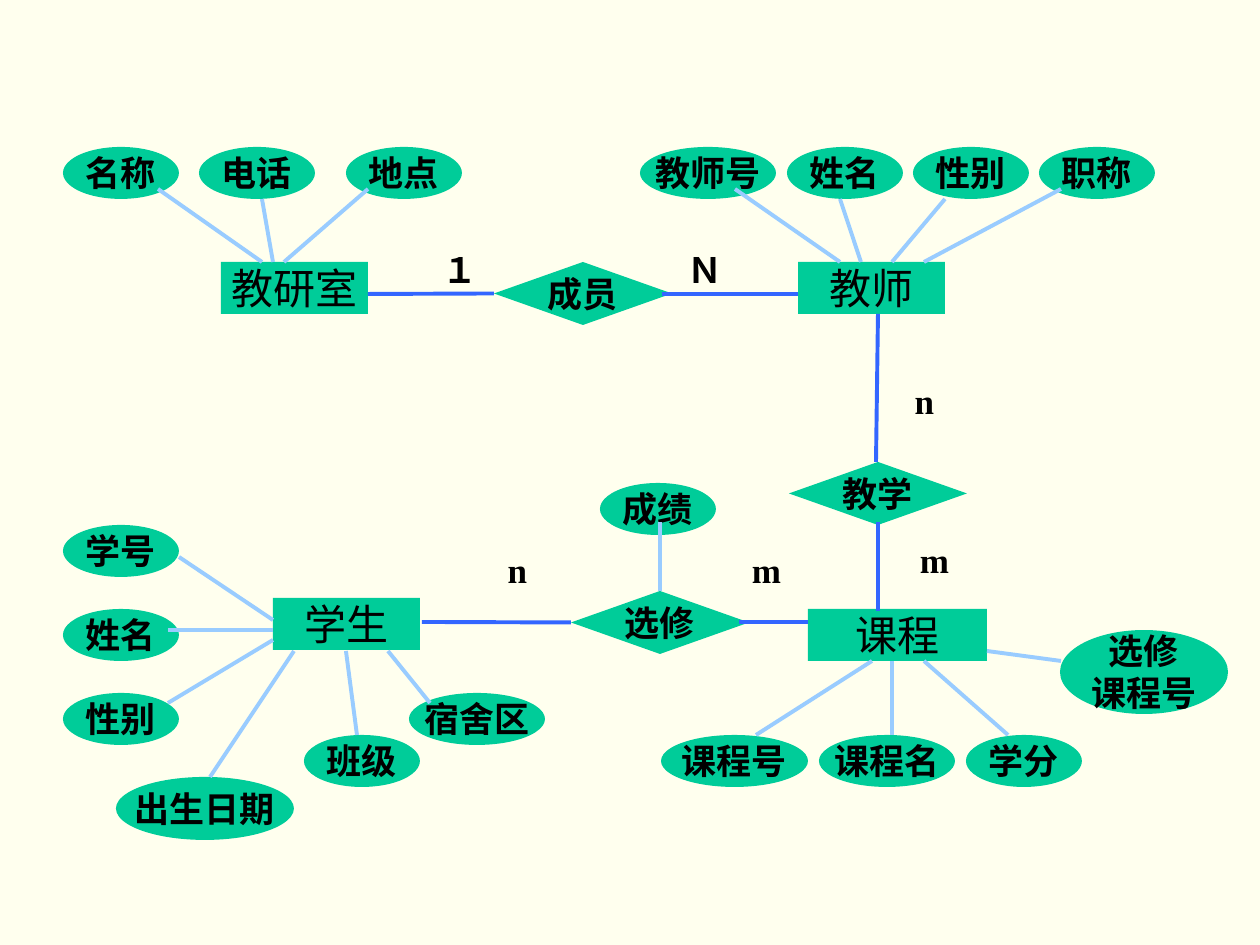
"""Build an entity-relationship diagram of departments, teachers, courses and students."""
from dataclasses import dataclass

from lxml import etree
from pptx import Presentation
from pptx import util as u
from pptx.dml.color import RGBColor
from pptx.enum import shapes, text
from pptx.oxml.ns import qn

PX = 914400 / 126


@dataclass(frozen=True)
class Theme:
    font: str = "Times New Roman"
    background: str = "FFFFEE"
    fill: str = "00CC99"
    ink: str = "000000"
    relation: str = "3366FF"
    attribute: str = "99CCFF"
    entity_size: int = 24
    label_size: int = 20
    line_width: float = 2.25


THEME = Theme()

ENTITIES = [
    ("教研室", 221, 262, 147, 52),
    ("教师", 798, 262, 147, 52),
    ("课程", 808, 609, 179, 52),
    ("学生", 273, 598, 147, 52),
]
RELATIONS = [
    ("成员", 494, 262, 178, 63),
    ("教学", 789, 462, 178, 63),
    ("选修", 571, 591, 178, 63),
]
ATTRIBUTES = [
    ("名称", 63, 147, 116, 52),
    ("电话", 199, 147, 116, 52),
    ("地点", 346, 147, 116, 52),
    ("教师号", 640, 147, 136, 52),
    ("姓名", 787, 147, 116, 52),
    ("性别", 913, 147, 116, 52),
    ("职称", 1039, 147, 116, 52),
    ("学号", 63, 525, 116, 52),
    ("姓名", 63, 609, 116, 52),
    ("性别", 63, 693, 116, 52),
    ("出生日期", 116, 777, 178, 63),
    ("班级", 304, 735, 116, 52),
    ("宿舍区", 409, 693, 136, 52),
    ("成绩", 600, 483, 116, 52),
    ("课程号", 661, 735, 147, 52),
    ("课程名", 819, 735, 136, 52),
    ("学分", 966, 735, 116, 52),
    ("选修\n课程号", 1060, 630, 168, 84),
]
RELATION_LINES = [
    (494, 294, 368, 294, "成员"),
    (798, 294, 662, 294, None),
    (878, 314, 876, 462, None),
    (571, 622, 422, 622, "选修"),
    (878, 611, 878, 522, None),
    (808, 622, 739, 622, None),
]
ATTRIBUTE_LINES = [
    (273, 620, 179, 557),
    (273, 630, 168, 630),
    (273, 640, 168, 703),
    (294, 651, 210, 777),
    (346, 651, 357, 735),
    (388, 651, 430, 703),
    (262, 262, 158, 189),
    (273, 262, 262, 199),
    (284, 262, 368, 189),
    (840, 262, 735, 189),
    (861, 262, 840, 199),
    (892, 262, 945, 199),
    (924, 262, 1061, 189),
    (660, 591, 660, 522),
    (892, 735, 892, 661),
    (756, 735, 872, 661),
    (1008, 735, 924, 661),
    (1061, 661, 987, 651),
]
CARDINALITIES = [
    ("n", 888, 373),
    ("m", 898, 532),
    ("n", 481, 542),
    ("m", 730, 542),
]
MEMBERSHIP = ("\t１\tＮ", 388, 242, 378, 63)
MEMBERSHIP_TABS = (42, 287)


def emu(*lengths):
    return [u.Emu(round(length * PX)) for length in lengths]


def style_text(frame, size, bold, align):
    for para in frame.paragraphs:
        para.alignment = align
        for span in para.runs:
            span.font.name = THEME.font
            span.font.size = u.Pt(size)
            span.font.bold = bold
            span.font.color.rgb = RGBColor.from_string(THEME.ink)


def add_node(page, kind, node, size, bold):
    label, *place = node
    shape = page.shapes.add_shape(kind, *emu(*place))
    shape.shadow.inherit = False
    shape.fill.solid()
    shape.fill.fore_color.rgb = RGBColor.from_string(THEME.fill)
    shape.line.fill.background()
    frame = shape.text_frame
    frame.word_wrap = False
    frame.vertical_anchor = text.MSO_ANCHOR.MIDDLE
    frame.text = label
    style_text(frame, size, bold, text.PP_ALIGN.CENTER)
    return shape


def add_line(page, ends, color):
    line = page.shapes.add_connector(shapes.MSO_CONNECTOR.STRAIGHT, *emu(*ends))
    line.line.color.rgb = RGBColor.from_string(color)
    line.line.width = u.Pt(THEME.line_width)
    etree.SubElement(line._element.spPr, qn("a:effectLst"))
    return line


def add_label(page, label, place, align, tabs=()):
    box = page.shapes.add_textbox(*emu(*place))
    frame = box.text_frame
    frame.word_wrap = True
    frame.text = label
    if tabs:
        properties = frame.paragraphs[0]._p.get_or_add_pPr()
        tab_list = etree.SubElement(properties, qn("a:tabLst"))
        for position in emu(*tabs):
            etree.SubElement(tab_list, qn("a:tab"), pos=str(position), algn="l")
    style_text(frame, THEME.label_size, True, align)


def main():
    deck = Presentation()
    deck.slide_width, deck.slide_height = emu(1260, 945)
    page = deck.slides.add_slide(deck.slide_layouts[6])
    page.background.fill.solid()
    page.background.fill.fore_color.rgb = RGBColor.from_string(THEME.background)

    kinds = shapes.MSO_SHAPE
    for node in ENTITIES:
        add_node(page, kinds.RECTANGLE, node, THEME.entity_size, False)
    for node in ATTRIBUTES:
        add_node(page, kinds.OVAL, node, THEME.label_size, True)
    diamonds = {
        node[0]: add_node(page, kinds.DIAMOND, node, THEME.label_size, True)
        for node in RELATIONS
    }

    for *ends, relation in RELATION_LINES:
        line = add_line(page, ends, THEME.relation)
        if relation:
            line.begin_connect(diamonds[relation], 1)
    for ends in ATTRIBUTE_LINES:
        add_line(page, ends, THEME.attribute)

    label, *place = MEMBERSHIP
    add_label(page, label, place, text.PP_ALIGN.LEFT, MEMBERSHIP_TABS)
    for label, left, top in CARDINALITIES:
        add_label(page, label, (left, top, 73, 55), text.PP_ALIGN.CENTER)
    deck.save("out.pptx")


if __name__ == "__main__":
    main()
